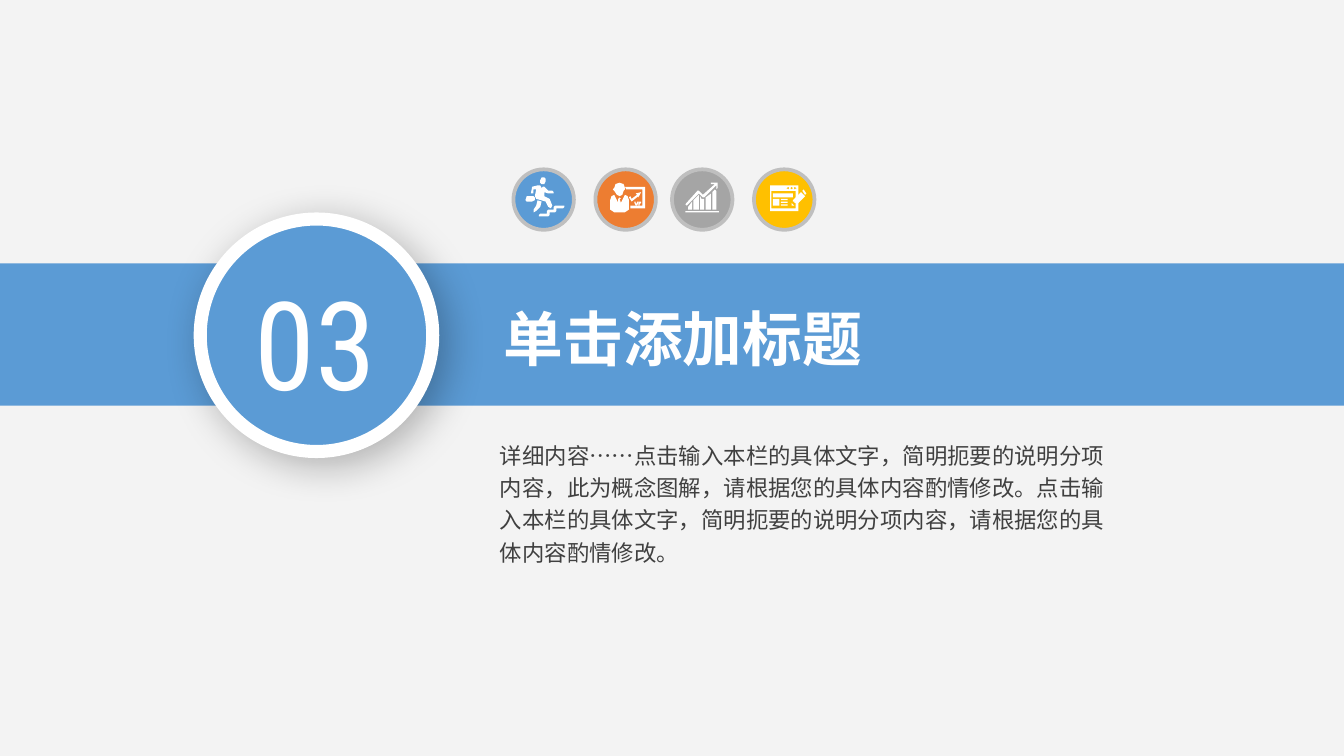
"""Build a section divider slide with a numbered medallion and four icon badges."""
from lxml import etree
from pptx import Presentation
from pptx.dml.color import RGBColor
from pptx.enum.shapes import MSO_SHAPE
from pptx.enum.text import MSO_AUTO_SIZE, PP_ALIGN
from pptx.oxml.ns import qn
from pptx.util import Inches, Pt

RECT, OVAL = MSO_SHAPE.RECTANGLE, MSO_SHAPE.OVAL
GROW = MSO_AUTO_SIZE.SHAPE_TO_FIT_TEXT
CENTER, LEFT = PP_ALIGN.CENTER, PP_ALIGN.LEFT
THEME = {
    "background": "F3F3F3", "blue": "5B9BD5", "orange": "ED7D31", "gray": "A5A5A5",
    "yellow": "FFC000", "white": "FFFFFF", "ring": "BFBFBF", "body": "404040",
    "cjk_font": "Noto Sans CJK SC", "number_font": "Roboto Condensed",
    "title_size": 32, "body_size": 12, "number_size": 66,
}
UNIT = Inches(0.01)
BADGE_TOP, BADGE_SIZE = 1.26, 0.45

RUNNER = [
    [[(20, 33), (25, 33), (25, 31), (26, 30), (30, 30), (30, 28), (31, 27), (38, 27), (38, 28),
      (37, 29), (32, 29), (32, 31), (31, 32), (27, 32), (27, 34), (26, 35), (19, 35), (19, 34)]],
    [[(10, 24), (14, 24), (16, 23), (16, 21), (15, 20), (11, 20), (10, 20), (9, 23)]],
    [[(15, 30), (17, 27), (18, 23), (21, 24), (20, 28), (17, 31), (15, 32)]],
    [[(23, 6), (24, 7), (24, 9), (23, 11), (21, 11), (20, 10), (20, 8), (21, 6.5)]],
    [[(22, 13), (23, 13), (26, 16), (29, 16), (30, 17), (30, 18), (26, 18), (23, 17), (23, 20),
      (27, 22), (29, 27), (28, 29), (26, 28), (24, 24), (17, 22), (16, 20), (17, 15), (15, 15),
      (15, 18), (13, 18), (14, 13), (18, 12), (20, 12), (21, 14)]],
]
PRESENTER = [
    [[(22, 13), (23, 15), (35, 15), (35, 27), (26, 27), (26, 29), (37, 29), (37, 13)]],
    [[(14, 16), (16, 19), (18, 20), (20, 19), (21, 16), (22, 15), (22, 14), (21, 11), (18, 10),
      (15, 11), (14, 14), (13, 15)]],
    [[(26, 20), (25, 21), (27, 24), (32, 20), (32, 21), (34, 17), (30, 18), (31, 19), (27, 22)]],
    [[(22, 19), (19, 25), (18, 22), (19, 22), (18, 21), (17, 22), (17, 25), (14, 19), (12, 20),
      (11, 23), (11, 30), (14, 32), (18, 32), (22, 32), (25, 30), (25, 23), (24, 20)]],
    [[(29, 24), (29, 25), (30, 27), (31, 27), (32, 25), (32, 24), (31, 24), (31, 26), (30, 25),
      (30, 24)]],
    [[(33, 24), (32, 24), (32, 27), (33, 27), (33, 26), (34, 25), (34, 24)]],
]
GROWTH = [
    [[(12, 30), (15, 30), (15, 24), (12, 28)]],
    [[(16, 30), (20, 30), (20, 19), (16, 23)]],
    [[(21, 20), (21, 30), (24, 30), (24, 22), (22, 22)]],
    [[(25, 30), (29, 30), (29, 18), (25, 21)]],
    [[(30, 17), (30, 30), (33, 30), (33, 16), (32, 15)]],
    [[(11, 27), (20, 18), (23, 21), (24, 21), (33, 12), (33, 15), (34, 14), (34, 10), (30, 10),
      (29, 10), (29, 11), (32, 11), (23, 19), (20, 16), (19, 16), (10, 26)]],
]
WINDOW_DOTS = [[(x - 1, 14), (x, 13), (x + 1, 14), (x, 15)] for x in (25.5, 28, 30.5)]
EDITOR = [
    [[(12, 12), (33, 12), (33, 31), (12, 31)], [(13, 16), (31, 16), (31, 29), (13, 29)],
     *WINDOW_DOTS],
    [[(28, 25), (28, 27), (30, 27)]],
    [[(38, 19), (39, 18), (37, 15), (36, 16)]],
    [[(35, 17), (29, 23), (29, 24), (30, 24), (30, 25), (31, 25), (32, 26), (38, 20)]],
]
EDITOR_BLOCKS = [(14, 18, 15, 3), (14, 22, 5, 5), *[(20, y, 5, 1) for y in (22, 24, 26)]]
BADGES = [
    (3.82, "blue", RUNNER, []),
    (4.43, "orange", PRESENTER, []),
    (5.00, "gray", GROWTH, [(10, 31, 25, 1)]),
    (5.61, "yellow", EDITOR, EDITOR_BLOCKS),
]


def paint(shape, fill, ring=None, ring_width=0):
    shape.shadow.inherit = False
    shape.fill.solid()
    shape.fill.fore_color.rgb = RGBColor.from_string(THEME[fill])
    if ring:
        shape.line.color.rgb = RGBColor.from_string(THEME[ring])
        shape.line.width = Pt(ring_width)
    else:
        shape.line.fill.background()
    return shape


def write(shapes, box, text, size, font, color, bold=False, align=LEFT, insets=(0.07, 0.04)):
    frame = shapes.add_textbox(*map(Inches, box)).text_frame
    frame.word_wrap = True
    frame.auto_size = GROW
    frame.margin_left = frame.margin_right = Inches(insets[0])
    frame.margin_top = frame.margin_bottom = Inches(insets[1])
    frame.text = text
    paragraph = frame.paragraphs[0]
    paragraph.alignment = align
    run = paragraph.runs[0]
    run.font.size = Pt(THEME[size])
    run.font.bold = bold
    run.font.name = THEME[font]
    run.font.color.rgb = RGBColor.from_string(THEME[color])
    etree.SubElement(run.font._element, qn("a:ea"), typeface=THEME[font])
    return paragraph


prs = Presentation()
prs.slide_width = Inches(10)
prs.slide_height = prs.slide_width * 9 // 16
slide = prs.slides.add_slide(prs.slide_layouts[6])
slide.background.fill.solid()
slide.background.fill.fore_color.rgb = RGBColor.from_string(THEME["background"])

paint(slide.shapes.add_shape(RECT, 0, Inches(1.96), Inches(10), Inches(1.06)), "blue")
write(slide.shapes, (3.65, 2.2, 3.54, 0.64), "单击添加标题", "title_size", "cjk_font", "white",
      bold=True, insets=(0.1, 0.05))
description = write(
    slide.shapes, (3.65, 3.21, 4.66, 1.05),
    "详细内容……点击输入本栏的具体文字，简明扼要的说明分项内容，此为概念图解，"
    "请根据您的具体内容酌情修改。点击输入本栏的具体文字，简明扼要的说明分项内容，"
    "请根据您的具体内容酌情修改。", "body_size", "cjk_font", "body")
description.line_spacing = 1.2

for left, color, outlines, blocks in BADGES:
    badge = slide.shapes.add_group_shape().shapes
    x, y = Inches(left), Inches(BADGE_TOP)
    paint(badge.add_shape(OVAL, x, y, Inches(BADGE_SIZE), Inches(BADGE_SIZE)), color, "ring", 2)
    for contours in outlines:
        outline = badge.build_freeform(*contours[0][0], scale=UNIT)
        for contour in contours:
            if contour is not contours[0]:
                outline.move_to(*contour[0])
            outline.add_line_segments(contour[1:], close=True)
        paint(outline.convert_to_shape(x, y), "white")
    for bx, by, width, height in blocks:
        paint(badge.add_shape(RECT, x + bx * UNIT, y + by * UNIT, width * UNIT, height * UNIT),
              "white")

medallion = slide.shapes.add_group_shape().shapes
disc = paint(medallion.add_shape(OVAL, Inches(1.49), Inches(1.63), Inches(1.73), Inches(1.73)),
             "blue", "white", 7)
effects = disc._element.spPr.find(qn("a:effectLst"))
shadow = etree.SubElement(effects, qn("a:outerShdw"), blurRad=str(Pt(22)), dist=str(Pt(6)),
                          dir=str(45 * 60000), algn="tl", rotWithShape="0")
shade = etree.SubElement(shadow, qn("a:srgbClr"), val="000000")
etree.SubElement(shade, qn("a:alpha"), val="28000")
write(medallion, (1.69, 1.95, 1.31, 1.19), "03", "number_size", "number_font", "white",
      align=CENTER)

prs.save("out.pptx")
